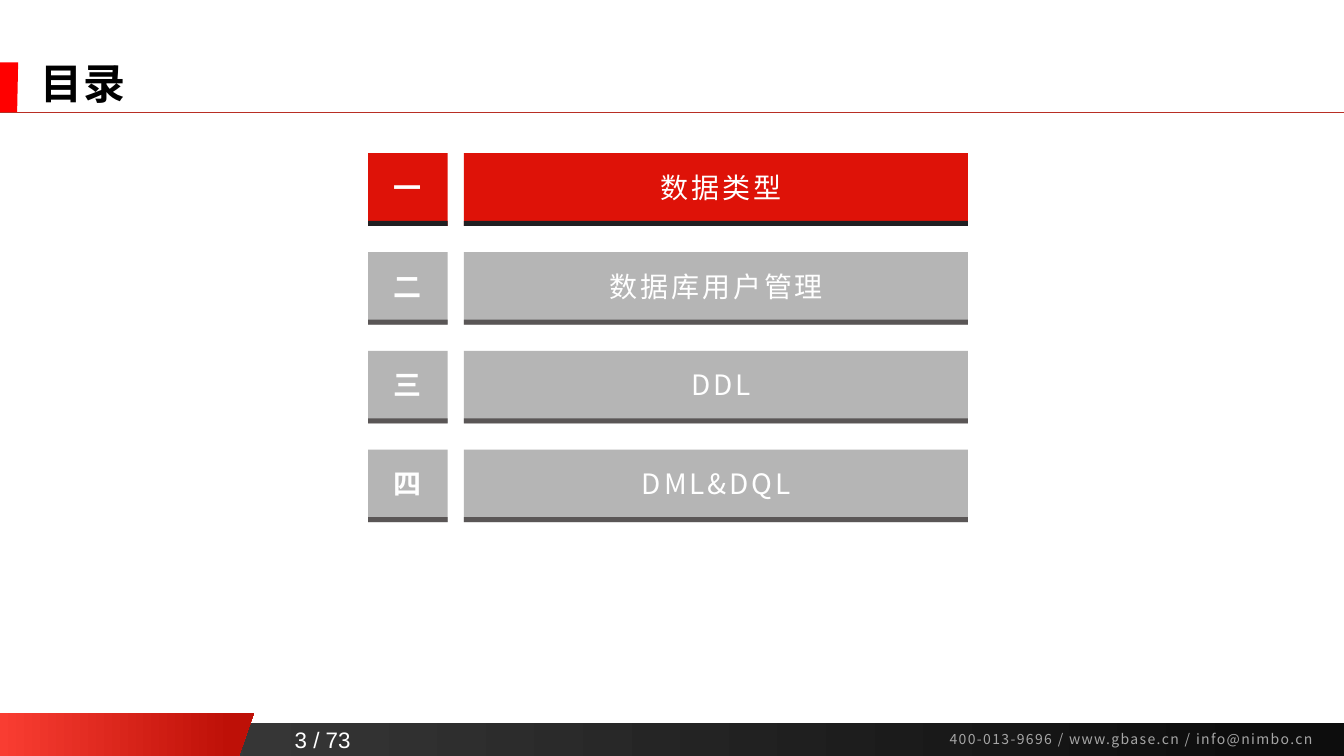
from pptx import Presentation
from pptx.dml.color import RGBColor
from pptx.enum.shapes import MSO_CONNECTOR, MSO_SHAPE
from pptx.enum.text import MSO_ANCHOR, PP_ALIGN
from pptx.oxml.ns import qn
from pptx.util import Inches, Pt
from lxml.etree import SubElement

WIDTH, HEIGHT = 13.33, 7.5
SANS = "Noto Sans CJK SC"
CHAPTERS = [("一", " 数据类型"), ("二", "数据库用户管理"), ("三", " DDL"), ("四", "DML&DQL")]
ACTIVE = ("DE1208", "202022")
INACTIVE = ("B5B5B5", "5A5656")
COLUMNS = [(3.65, 0.79), (4.6, 5)]
FIRST_ROW, ROW_PITCH, ROW_HEIGHT, EDGE_HEIGHT = 1.52, 0.98, 0.72, 0.05


def color(value):
    return RGBColor.from_string(value)


def paint(shape, *colors, end=1):
    shape.shadow.inherit = False
    shape.line.fill.background()
    if len(colors) == 1:
        shape.fill.solid()
        shape.fill.fore_color.rgb = color(colors[0])
        return
    shape.fill.gradient()
    shape.fill.gradient_angle = 0
    for stop, value, position in zip(shape.fill.gradient_stops, colors, (0, end)):
        stop.color.rgb = color(value)
        stop.position = position


def add_block(page, left, top, width, height, *colors, end=1):
    block = page.shapes.add_shape(
        MSO_SHAPE.RECTANGLE, Inches(left), Inches(top), Inches(width), Inches(height))
    paint(block, *colors, end=end)


def add_slanted_tab(page, top, bottom, top_width, bottom_width, *colors, end=1):
    builder = page.shapes.build_freeform(0, Inches(top))
    corners = [(top_width, top), (bottom_width, bottom), (0, bottom)]
    builder.add_line_segments([(Inches(x), Inches(y)) for x, y in corners])
    paint(builder.convert_to_shape(), *colors, end=end)


def add_rule(page, top, value):
    rule = page.shapes.add_connector(
        MSO_CONNECTOR.STRAIGHT, 0, Inches(top), Inches(WIDTH), Inches(top))
    rule.line.color.rgb = color(value)
    rule.line.width = Pt(0.5)
    SubElement(rule._element.spPr, qn("a:effectLst"))


def write(box, text, size, value, font=SANS, bold=False, spacing=0, align=PP_ALIGN.CENTER):
    para = box.text_frame.paragraphs[0]
    para.alignment = align
    span = para.add_run()
    span.text = text
    span.font.size = Pt(size)
    span.font.bold = bold
    span.font.color.rgb = color(value)
    span.font.name = font
    properties = span.font._element
    SubElement(properties, qn("a:ea")).set("typeface", font)
    properties.set("spc", str(spacing * 100))


def add_label(page, left, top, width, height, text, size, value, wrap=True,
              anchor=MSO_ANCHOR.TOP, **style):
    box = page.shapes.add_textbox(Inches(left), Inches(top), Inches(width), Inches(height))
    box.text_frame.word_wrap = wrap
    box.text_frame.vertical_anchor = anchor
    write(box, text, size, value, **style)


def add_title(page, text):
    title = page.shapes.title
    title.left, title.top = Inches(0.3), Inches(0.59)
    title.width, title.height = Inches(12.26), Inches(0.53)
    title.text_frame.vertical_anchor = MSO_ANCHOR.MIDDLE
    write(title, text, 30, "000000", bold=True, spacing=1, align=PP_ALIGN.LEFT)
    title.text_frame.paragraphs[0].line_spacing = 0.9


def add_frame(page):
    add_block(page, 0, HEIGHT - 0.33, WIDTH, 0.33, "404040", "0D0D0D", end=0.94)
    add_slanted_tab(page, 7.07, HEIGHT, 2.52, 2.37, "F93D32", "BE1007", end=0.91)
    add_slanted_tab(page, 0.62, 1.12, 0.18, 0.17, "FF0000")
    add_rule(page, 1.11, "B82E24")
    add_label(page, 2.74, 7.15, 0.92, 0.37, "3 / 73", 16, "FFFFFF", wrap=False,
              anchor=MSO_ANCHOR.BOTTOM, font="Arial")
    add_label(page, 9.32, 7.2, 3.99, 0.27, "400-013-9696 / www.gbase.cn / info@nimbo.cn",
              10, "A6A6A6", spacing=1, align=PP_ALIGN.LEFT)


def add_chapter(page, row, number, name):
    top = FIRST_ROW + row * ROW_PITCH
    face, edge = INACTIVE if row else ACTIVE
    for left, width in COLUMNS:
        add_block(page, left, top, width, ROW_HEIGHT, face)
        add_block(page, left, top + ROW_HEIGHT - EDGE_HEIGHT, width, EDGE_HEIGHT, edge)
    add_label(page, 3.8, top + 0.12, 0.48, 0.44, number, 20, "FFFFFF", wrap=False, bold=True)
    add_label(page, 4.79, top + 0.12, 4.63, 0.44, name, 20, "FFFFFF", spacing=2)


def main():
    deck = Presentation()
    deck.slide_width, deck.slide_height = Inches(WIDTH), Inches(HEIGHT)
    page = deck.slides.add_slide(deck.slide_layouts[5])
    add_frame(page)
    add_title(page, "目录")
    for row, (number, name) in enumerate(CHAPTERS):
        add_chapter(page, row, number, name)
    deck.save("out.pptx")


if __name__ == "__main__":
    main()
